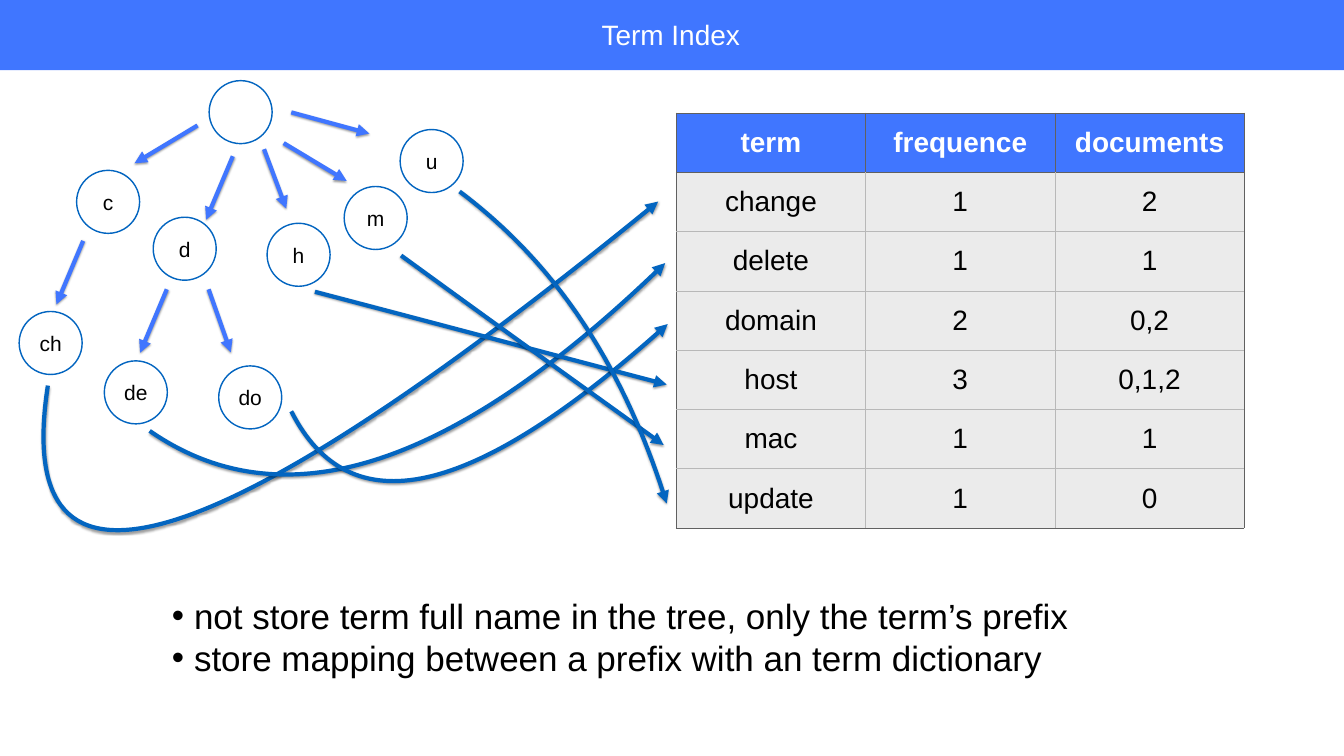
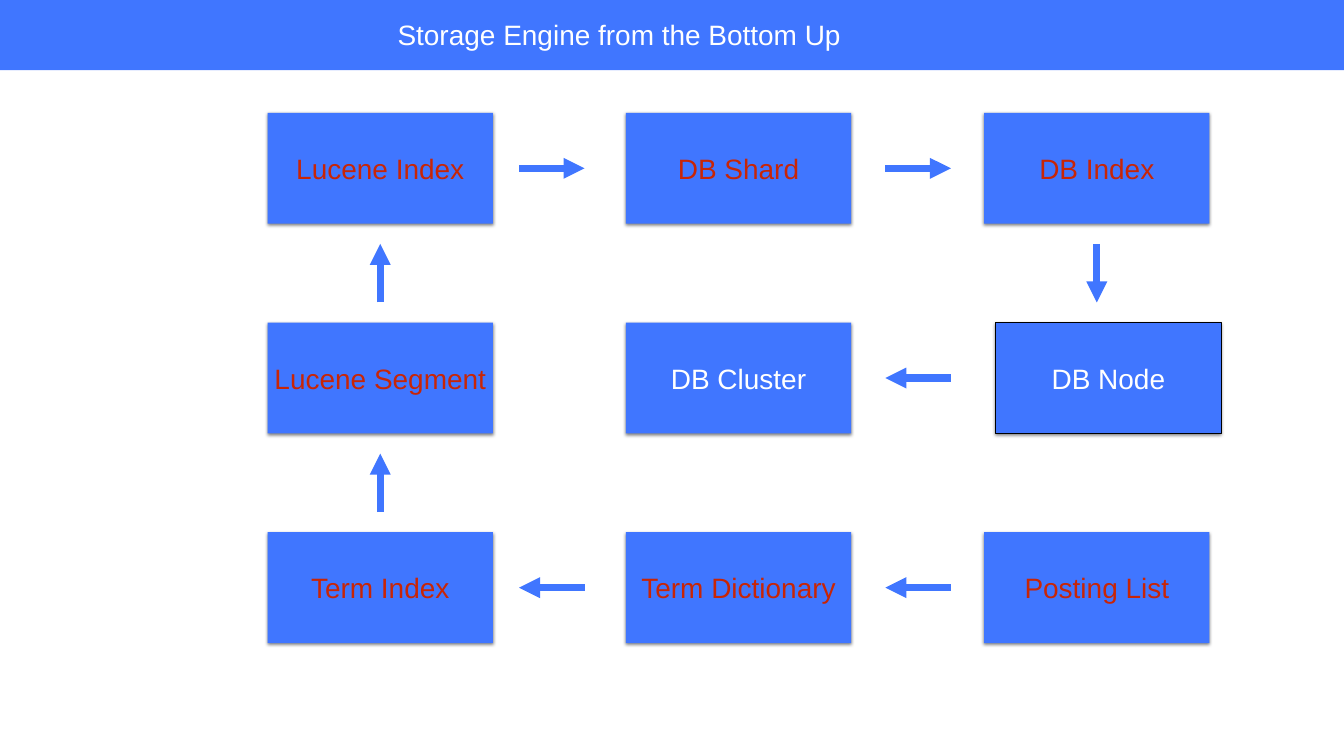
import pptx
import pptx.dml.color
import pptx.enum.shapes
import pptx.enum.text
import pptx.oxml
import pptx.oxml.ns
import pptx.util
from lxml import etree

WIDTH, HEIGHT = 26.67, 15
FONT = "Arial"
BLUE, NAVY, RED = "4076FF", "0365C0", "C82506"
WHITE, BLACK = "FFFFFF", "000000"
CELL, EDGE, GRID = "EBEBEB", "606060", "B8B8B8"
LINE_SHADOW, BOX_SHADOW = (38, 3, 1.6), (50, 5, 2)  # opacity %, blur, distance
MARGIN = 0.06

# Prefix, left and top of the circle, arrow from its parent
NODES = [
    ("", 4.15, 1.6, None),
    ("u", 7.94, 2.57, (5.78, 2.23, 7.33, 2.65)),
    ("m", 6.83, 3.7, (5.63, 2.84, 6.88, 3.59)),
    ("h", 5.3, 4.43, (5.24, 2.96, 5.68, 4.14)),
    ("d", 3.04, 4.31, (4.62, 3.1, 4.09, 4.36)),
    ("c", 1.52, 3.38, (3.92, 2.49, 2.67, 3.24)),
    ("ch", 0.38, 6.18, (1.65, 4.78, 1.12, 6.04)),
    ("de", 2.07, 7.16, (3.31, 5.74, 2.78, 7)),
    ("do", 4.34, 7.26, (4.14, 5.74, 4.58, 6.99)),
]
NODE_SIZE = 1.25

HEADER = ("term", "frequence", "documents")
# Table row, and the Bézier curve that points at it
TERMS = [
    (("change", "1", "2"), [(0.95, 7.65), (0.21, 12.43), (4.24, 11.21), (13.06, 4)]),
    (("delete", "1", "1"), [(2.97, 8.55), (5.61, 10.38), (9.03, 9.27), (13.2, 5.22)]),
    (("domain", "2", "0,2"), [(5.78, 8.16), (6.94, 10.45), (9.43, 9.87), (13.25, 6.43)]),
    (("host", "3", "0,1,2"), [(6.25, 5.79), (8.58, 6.4), (10.9, 7.02), (13.23, 7.63)]),
    (("mac", "1", "1"), [(7.96, 5.07), (9.69, 6.33), (11.43, 7.58), (13.17, 8.83)]),
    (("update", "1", "0"), [(9.12, 3.8), (11.01, 5.22), (12.38, 7.28), (13.23, 9.99)]),
]
TABLE_BOX = (13.42, 2.24, 11.27, 8.24)

NOTES = [
    "not store term full name in the tree, only the term’s prefix",
    "store mapping between a prefix with an term dictionary",
]

# Layers from the bottom up: label, column, row, text colour
LAYERS = [
    ("Posting List", 2, 2, RED),
    ("Term Dictionary", 1, 2, RED),
    ("Term Index", 0, 2, RED),
    ("Lucene Segment", 0, 1, RED),
    ("Lucene Index", 0, 0, RED),
    ("DB Shard", 1, 0, RED),
    ("DB Index", 2, 0, RED),
    ("DB Node", 2, 1, WHITE),
    ("DB Cluster", 1, 1, WHITE),
]
GRID_LEFT, GRID_TOP, COL_STEP, ROW_STEP = 5.31, 2.24, 7.11, 4.16
BOX_W, BOX_H = 4.47, 2.2
GAP_ARROW_X, ARROW_W, ARROW_H = (10.3, 17.57), 1.3, 1.16
NODE_SHIFT = 0.23

inch = pptx.util.Inches
ALIGN = pptx.enum.text.PP_ALIGN
MIDDLE = pptx.enum.text.MSO_ANCHOR.MIDDLE
SHAPE = pptx.enum.shapes.MSO_SHAPE


def rgb(value):
    return pptx.dml.color.RGBColor.from_string(value)


def sub(parent, tag, **attrs):
    """Append a DrawingML element with the given attributes."""
    el = etree.SubElement(parent, pptx.oxml.ns.qn("a:" + tag))
    for key, value in attrs.items():
        el.set(key, str(value))
    return el


def write(tf, *lines, size=40, color=BLACK, bold=False, align=ALIGN.CENTER,
          margin=MARGIN, wrap=True, bullet_indent=None):
    tf.word_wrap = wrap
    tf.auto_size = pptx.enum.text.MSO_AUTO_SIZE.NONE
    tf.vertical_anchor = MIDDLE
    tf.margin_left = tf.margin_right = tf.margin_top = tf.margin_bottom = inch(margin)
    for i, line in enumerate(lines):
        p = tf.add_paragraph() if i else tf.paragraphs[0]
        p.alignment = align
        p.space_before = pptx.util.Pt(0)
        r = p.add_run()
        r.text = line
        r.font.name, r.font.size, r.font.bold = FONT, pptx.util.Pt(size), bold
        r.font.color.rgb = rgb(color)
        if bullet_indent:
            pPr = p._p.get_or_add_pPr()
            pPr.set("marL", str(inch(bullet_indent)))
            pPr.set("indent", str(-inch(bullet_indent)))
            sub(pPr, "buFont", typeface=FONT)
            sub(pPr, "buChar", char="•")


def set_shadow(sp, shadow=None):
    """Give the shape a downward shadow, or none at all."""
    effects = sub(sp._element.spPr, "effectLst")
    if shadow:
        alpha, blur, dist = shadow
        outer = sub(effects, "outerShdw", blurRad=pptx.util.Pt(blur),
                    dist=pptx.util.Pt(dist), dir=90 * 60000, rotWithShape=0)
        sub(sub(outer, "srgbClr", val=BLACK), "alpha", val=alpha * 1000)


def place(sp, *box):
    sp.left, sp.top, sp.width, sp.height = map(inch, box)


def add_shape(slide, kind, box, fill, line=None, line_width=1, shadow=None):
    sp = slide.shapes.add_shape(kind, *map(inch, box))
    sp.fill.solid()
    sp.fill.fore_color.rgb = rgb(fill)
    if line:
        sp.line.color.rgb = rgb(line)
        sp.line.width = pptx.util.Pt(line_width)
    else:
        sp.line.fill.background()
    set_shadow(sp, shadow)
    return sp


def style_arrow(sp, color, width, shadow=None):
    sp.line.color.rgb = rgb(color)
    sp.line.width = pptx.util.Pt(width)
    sub(sp.line._get_or_add_ln(), "tailEnd", type="triangle")
    set_shadow(sp, shadow)


def add_arrow(slide, ends, width, shadow=None):
    straight = pptx.enum.shapes.MSO_CONNECTOR.STRAIGHT
    style_arrow(slide.shapes.add_connector(straight, *map(inch, ends)), BLUE, width, shadow)


def bezier(points, t):
    weights = ((1 - t) ** 3, 3 * t * (1 - t) ** 2, 3 * t * t * (1 - t), t ** 3)
    return tuple(round(sum(w * p[axis] for w, p in zip(weights, points)))
                 for axis in (0, 1))


def add_curve(slide, points):
    """Outline the curve for its bounds, then swap the steps for one cubic segment."""
    points = [(inch(x), inch(y)) for x, y in points]
    steps = 40
    builder = slide.shapes.build_freeform(*points[0])
    builder.add_line_segments([bezier(points, i / steps) for i in range(1, steps + 1)],
                              close=False)
    sp = builder.convert_to_shape()
    outline = sp._element.find(".//" + pptx.oxml.ns.qn("a:path"))
    for step in outline.findall(pptx.oxml.ns.qn("a:lnTo")):
        outline.remove(step)
    cubic = sub(outline, "cubicBezTo")
    for x, y in points[1:]:
        sub(cubic, "pt", x=x - sp.left, y=y - sp.top)
    sp.fill.background()
    style_arrow(sp, NAVY, 6, LINE_SHADOW)


def add_borders(cell, colors):
    """Colours go left, right, top, bottom."""
    tcPr = cell._tc.get_or_add_tcPr()
    for i, (side, color) in enumerate(zip("LRTB", colors)):
        ln = sub(tcPr, "ln" + side, w=pptx.util.Pt(1))
        sub(sub(ln, "solidFill"), "srgbClr", val=color)
        tcPr.insert(i, ln)


def add_term_table(slide):
    rows = [HEADER] + [row for row, _ in TERMS]
    n_rows, n_cols = len(rows), len(HEADER)
    table = slide.shapes.add_table(n_rows, n_cols, *map(inch, TABLE_BOX)).table
    table.horz_banding = False
    for r, row in enumerate(rows):
        for c, text in enumerate(row):
            head = r == 0
            cell = table.cell(r, c)
            write(cell.text_frame, text, color=WHITE if head else BLACK, bold=head)
            cell.vertical_anchor = MIDDLE
            cell.margin_left = cell.margin_right = inch(MARGIN)
            cell.margin_top = cell.margin_bottom = inch(MARGIN)
            cell.fill.solid()
            cell.fill.fore_color.rgb = rgb(BLUE if head else CELL)
            dark = (c == 0, c == n_cols - 1, r <= 1, r == n_rows - 1)
            add_borders(cell, [EDGE if head or d else GRID for d in dark])


def add_slide(prs, layout, title, left, width):
    slide = prs.slides.add_slide(prs.slide_layouts[layout])
    band = add_shape(slide, SHAPE.RECTANGLE, (-0.06, -0.04, WIDTH + 0.09, 1.43), BLUE)
    slide.shapes._spTree.insert(2, band._element)
    place(slide.shapes.title, left, 0.29, width, 0.78)
    write(slide.shapes.title.text_frame, title, color=WHITE, wrap=False)
    return slide


def build_term_index(prs):
    slide = add_slide(prs, 1, "Term Index", 11.87, 2.88)
    body = slide.placeholders[1]
    place(body, 3.35, 11.74, 18.1, 1.78)
    write(body.text_frame, *NOTES, size=50, align=ALIGN.LEFT, bullet_indent=0.44)
    for prefix, x, y, arrow in NODES:
        sp = add_shape(slide, SHAPE.OVAL, (x, y, NODE_SIZE, NODE_SIZE), WHITE, NAVY, 2)
        if prefix:
            write(sp.text_frame, prefix, size=30, margin=0, wrap=False)
        if arrow:
            add_arrow(slide, arrow, 6, LINE_SHADOW)
    add_term_table(slide)
    for _, curve in TERMS:
        add_curve(slide, curve)


def step_ends(col, row, next_col, next_row):
    """Ends of the arrow in the gap between two neighbouring boxes."""
    if row == next_row:
        x = GAP_ARROW_X[min(col, next_col)]
        y = GRID_TOP + row * ROW_STEP + BOX_H / 2
        ends = [(x, y), (x + ARROW_W, y)]
    else:
        x = GRID_LEFT + col * COL_STEP + BOX_W / 2
        y = GRID_TOP + min(row, next_row) * ROW_STEP + (BOX_H + ROW_STEP - ARROW_H) / 2
        ends = [(x, y), (x, y + ARROW_H)]
    if next_col < col or next_row < row:
        ends.reverse()
    return ends[0] + ends[1]


def build_storage_engine(prs):
    slide = add_slide(prs, 5, "Storage Engine from the Bottom Up", 7.81, 8.95)
    for label, col, row, color in LAYERS:
        is_node = label == "DB Node"
        x = GRID_LEFT + col * COL_STEP + (NODE_SHIFT if is_node else 0)
        sp = add_shape(slide, SHAPE.RECTANGLE, (x, GRID_TOP + row * ROW_STEP, BOX_W, BOX_H),
                       BLUE, BLACK if is_node else None, shadow=BOX_SHADOW)
        write(sp.text_frame, label, color=color)
    for here, there in zip(LAYERS, LAYERS[1:]):
        add_arrow(slide, step_ends(*here[1:3], *there[1:3]), 10)


def main():
    prs = pptx.Presentation()
    prs.slide_width, prs.slide_height = inch(WIDTH), inch(HEIGHT)
    build_term_index(prs)
    build_storage_engine(prs)
    prs.save("out.pptx")


if __name__ == "__main__":
    main()
